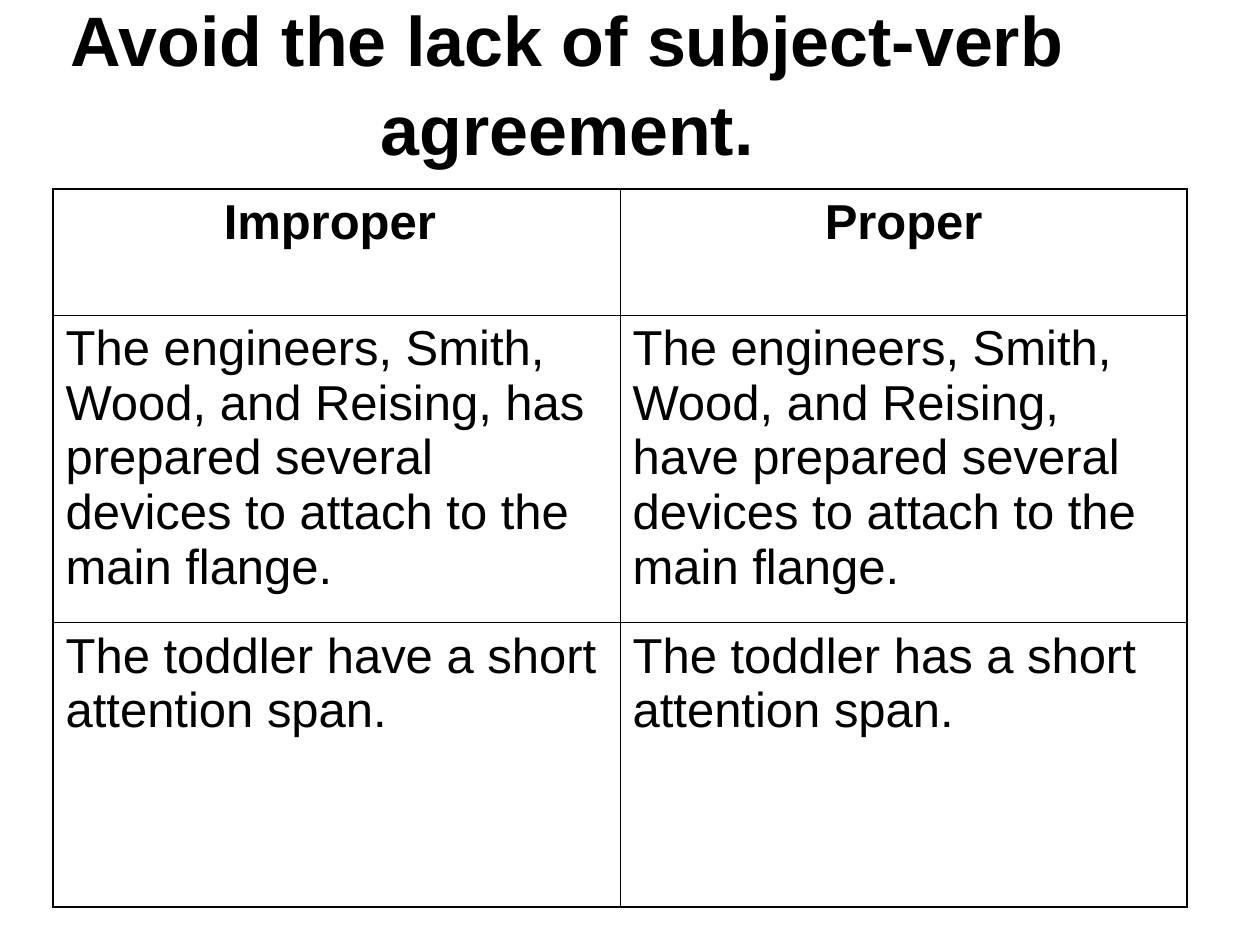
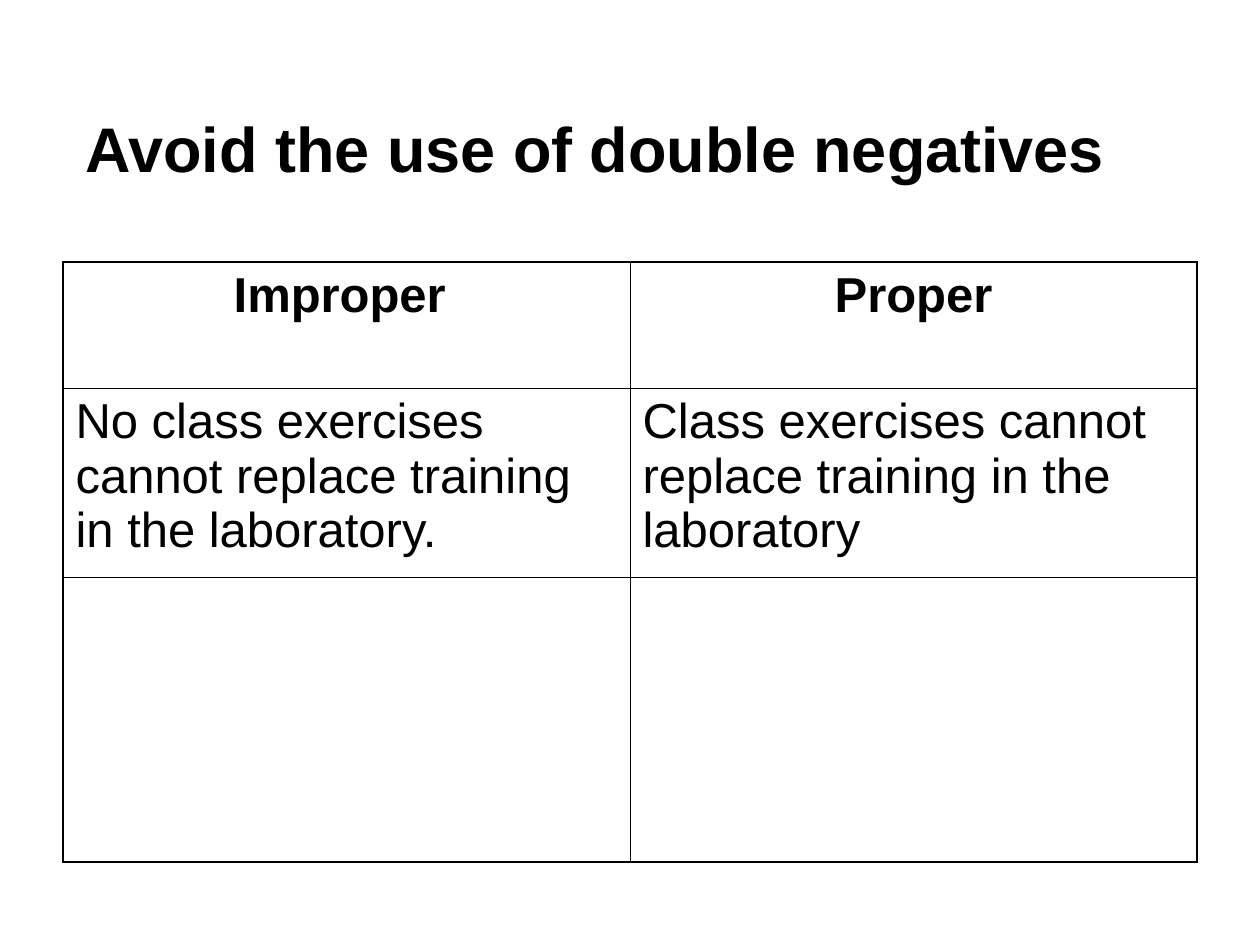
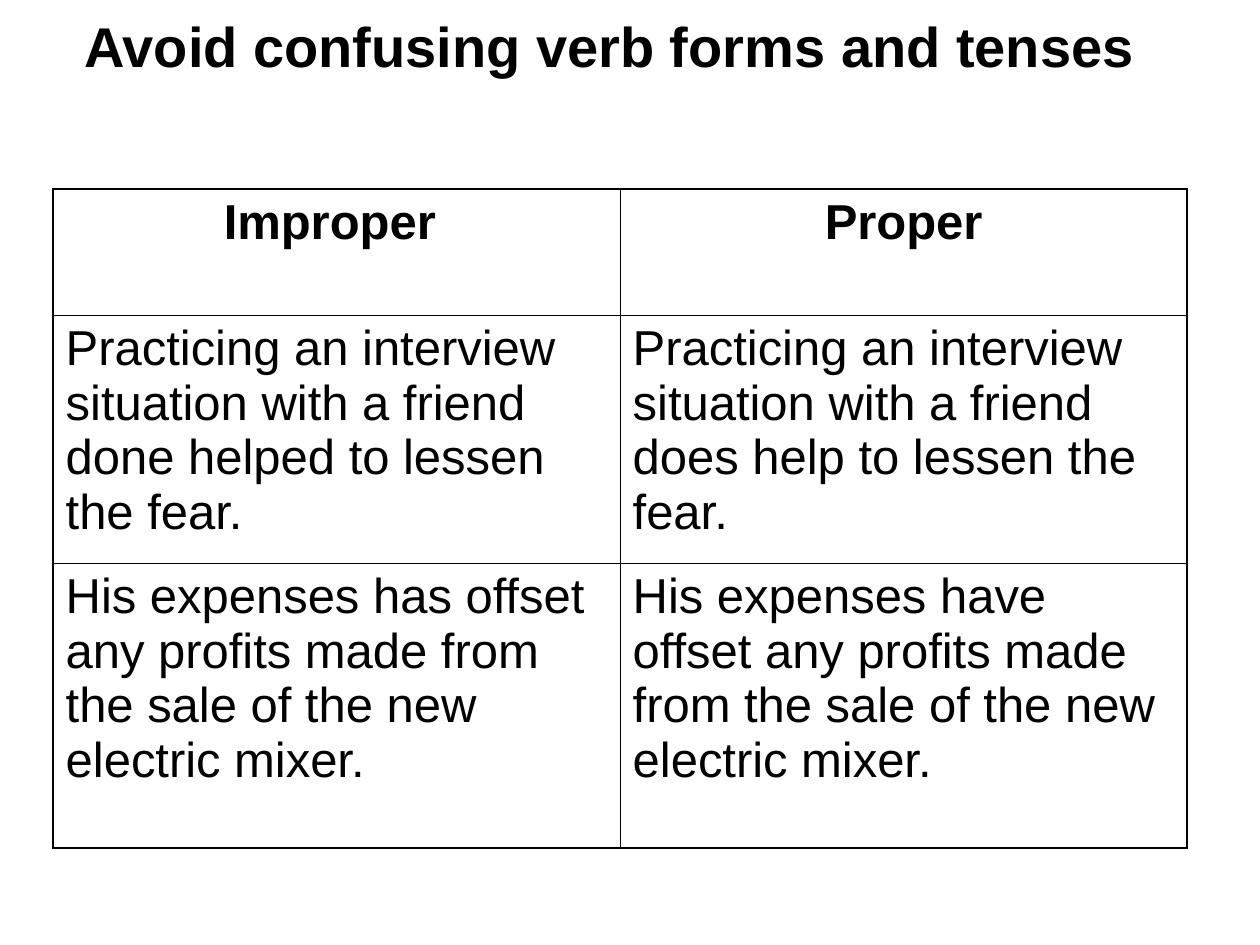
from dataclasses import dataclass

from pptx import Presentation
from pptx.dml.color import RGBColor
from pptx.enum.text import MSO_ANCHOR as Anchor, PP_ALIGN as Align
from pptx.oxml.ns import qn
from pptx.oxml.xmlchemy import OxmlElement
from pptx.slide import Slide
from pptx.table import _Cell as Cell
from pptx.text.text import _Paragraph as Paragraph
from pptx.util import Cm, Pt

# Shared style
BLACK = RGBColor(0x00, 0x00, 0x00)
FONT = "Arial"
CELL_SIZE = 28
OUTER_LINE, INNER_LINE = Pt(1.08), Pt(0.45)
COLUMN_WIDTH = Cm(11.43)
HEADER = ("Improper ", "Proper")
HEADER_HEIGHT, LAST_HEIGHT = 2.54, 5.74


@dataclass(frozen=True)
class Title:
    text: str
    left: float
    top: float
    width: float
    height: float
    size: int
    align: Align = Align.LEFT
    anchor: Anchor = Anchor.MIDDLE
    top_inset: float = 0.13
    bottom_inset: float = 0.13
    line_spacing: float = 1.0
    wrap: bool = True


@dataclass(frozen=True)
class Comparison:
    left: float
    top: float
    middle_height: float
    examples: tuple[tuple[str, str], tuple[str, str]]


LESSONS = [
    (
        Title("Avoid the lack of subject-verb agreement.", 0, 0.76, 22.86, 3.18, 40,
              align=Align.CENTER, bottom_inset=1.6, line_spacing=1.07),
        Comparison(1.07, 3.81, 6.2, (
            ("The engineers, Smith, Wood, and Reising, has prepared several "
             "devices to attach to the main flange.",
             "The engineers, Smith, Wood, and Reising, have prepared several "
             "devices to attach to the main flange."),
            ("The toddler have a short attention span.",
             "The toddler has a short attention span."),
        )),
    ),
    (
        Title("Avoid the use of double negatives", 1.47, 2.08, 23.06, 1.78, 36),
        Comparison(1.27, 5.28, 3.81, (
            ("No class exercises cannot replace training in the laboratory.",
             "Class exercises cannot replace training in the laboratory"),
            ("", ""),
        )),
    ),
    (
        Title("Avoid confusing verb forms and tenses", 1.45, 0, 21.74, 2.97, 32,
              anchor=Anchor.TOP, top_inset=0.23, wrap=False),
        Comparison(1.07, 3.81, 5.0, (
            ("Practicing an interview situation with a friend done helped to "
             "lessen the fear.",
             "Practicing an interview situation with a friend does help to "
             "lessen the fear."),
            ("His expenses has offset any profits made from the sale of the "
             "new electric mixer.",
             "His expenses have offset any profits made from the sale of the "
             "new electric mixer."),
        )),
    ),
]


def write(paragraph: Paragraph, text: str, size: int, bold: bool, align: Align) -> None:
    paragraph.text = text
    paragraph.alignment = align
    for run in paragraph.runs:
        run.font.name = FONT
        run.font.size = Pt(size)
        run.font.bold = bold
        run.font.color.rgb = BLACK


def draw_title(slide: Slide, title: Title) -> None:
    shape = slide.shapes.add_textbox(
        Cm(title.left), Cm(title.top), Cm(title.width), Cm(title.height))
    frame = shape.text_frame
    frame.word_wrap = title.wrap
    frame.vertical_anchor = title.anchor
    frame.margin_top = Cm(title.top_inset)
    frame.margin_bottom = Cm(title.bottom_inset)
    paragraph = frame.paragraphs[0]
    write(paragraph, title.text, title.size, True, title.align)
    paragraph.line_spacing = title.line_spacing


def add_border(cell: Cell, side: str, width: int) -> None:
    line = OxmlElement(f"a:{side}")
    line.set("w", str(width))
    fill = OxmlElement("a:solidFill")
    color = OxmlElement("a:srgbClr")
    color.set("val", str(BLACK))
    fill.append(color)
    line.append(fill)
    cell._tc.get_or_add_tcPr().append(line)


def draw_comparison(slide: Slide, comparison: Comparison) -> None:
    rows = (HEADER, *comparison.examples)
    heights = [Cm(h) for h in (HEADER_HEIGHT, comparison.middle_height, LAST_HEIGHT)]
    last_row, last_column = len(rows) - 1, len(HEADER) - 1
    table = slide.shapes.add_table(
        len(rows), len(HEADER), Cm(comparison.left), Cm(comparison.top),
        COLUMN_WIDTH * len(HEADER), sum(heights)).table
    table.first_row = table.horz_banding = False
    for column in table.columns:
        column.width = COLUMN_WIDTH

    for row_index, texts in enumerate(rows):
        table.rows[row_index].height = heights[row_index]
        is_header = row_index == 0
        for column_index, text in enumerate(texts):
            cell = table.cell(row_index, column_index)
            paragraph = cell.text_frame.paragraphs[0]
            write(paragraph, text, CELL_SIZE, is_header,
                  Align.CENTER if is_header else Align.LEFT)
            paragraph.space_before = Pt(7)
            # Heavier lines around the outside of the table
            outer_sides = {
                "lnL": column_index == 0,
                "lnR": column_index == last_column,
                "lnT": is_header,
                "lnB": row_index == last_row,
            }
            for side, is_outer in outer_sides.items():
                add_border(cell, side, OUTER_LINE if is_outer else INNER_LINE)
            cell.fill.background()


def main() -> None:
    presentation = Presentation()
    presentation.slide_width, presentation.slide_height = Cm(25.4), Cm(19.05)
    blank_layout = presentation.slide_layouts[6]
    for title, comparison in LESSONS:
        slide = presentation.slides.add_slide(blank_layout)
        draw_title(slide, title)
        draw_comparison(slide, comparison)
    presentation.save("out.pptx")


if __name__ == "__main__":
    main()
